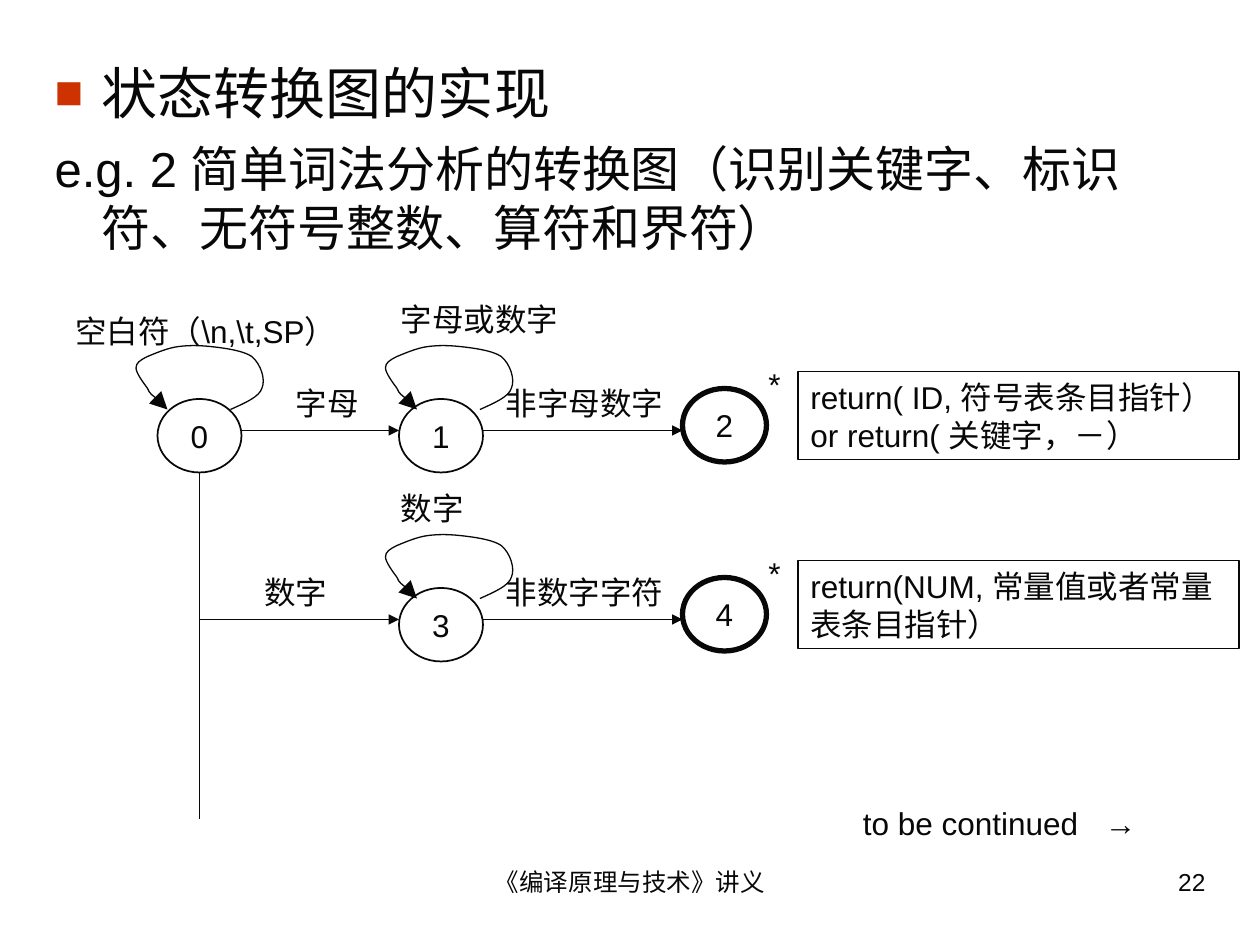
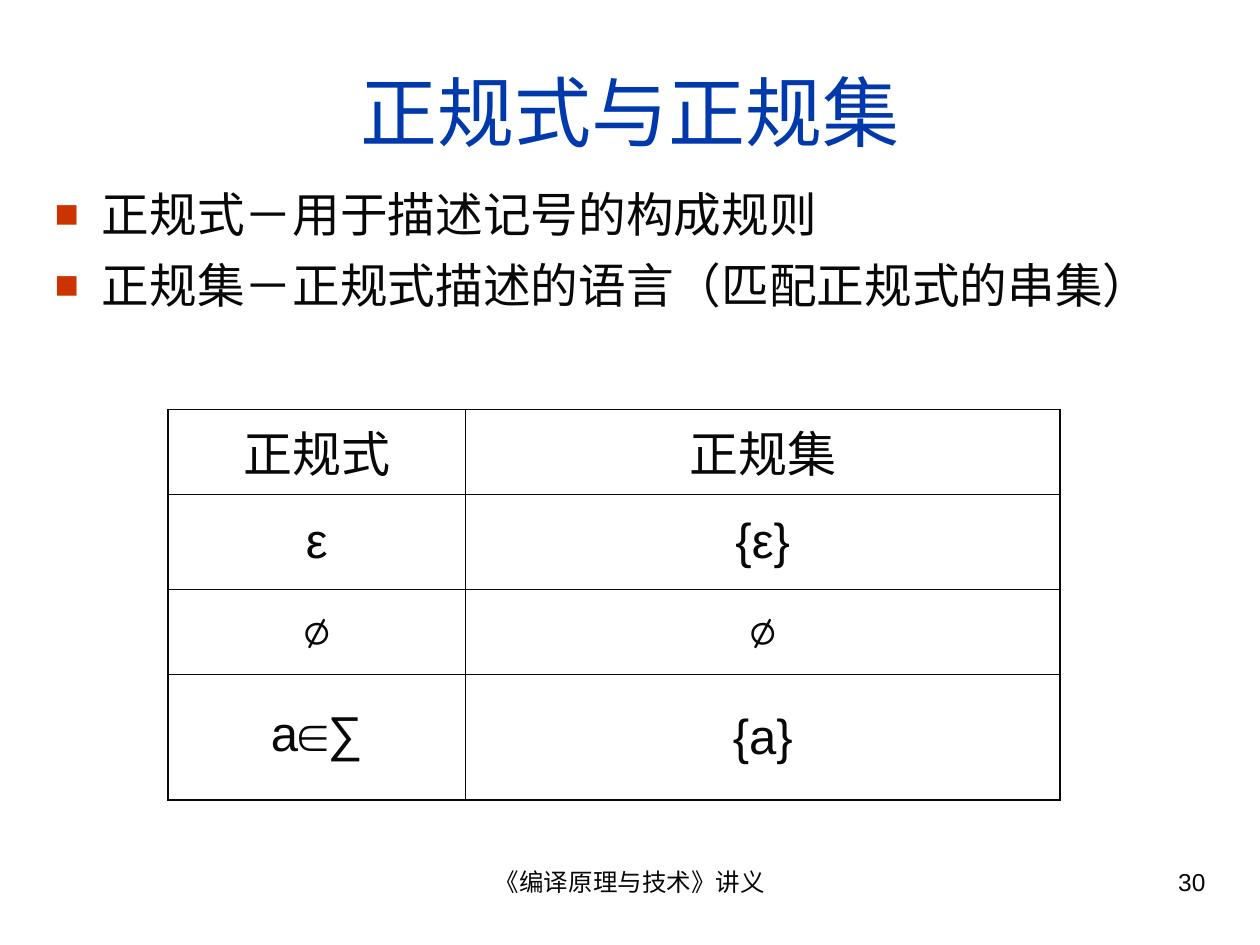
import itertools

import lxml.etree
import pptx
import pptx.dml.color
import pptx.enum.shapes
import pptx.enum.text
import pptx.oxml.ns
import pptx.util

Inches = pptx.util.Inches
Pt = pptx.util.Pt
Align = pptx.enum.text.PP_ALIGN
Anchor = pptx.enum.text.MSO_ANCHOR
AutoSize = pptx.enum.text.MSO_AUTO_SIZE
Shape = pptx.enum.shapes.MSO_SHAPE
qn = pptx.oxml.ns.qn

INK = pptx.dml.color.RGBColor(0x08, 0x08, 0x08)
TITLE_BLUE = pptx.dml.color.RGBColor(0x00, 0x39, 0xAC)
BULLET_RED = pptx.dml.color.RGBColor(0xCC, 0x33, 0x00)
FONT = "Arial"
SYMBOL_FONT = "Courier New"
SYMBOLS = "∅∈"
FOOTER = "《编译原理与技术》讲义"

# A self-loop as Bezier control points, in inches from its top left corner.
LOOP = [
    (0.75, 0.51), (0.86, 0.46), (0.98, 0.41), (1.00, 0.34),
    (1.03, 0.27), (0.99, 0.15), (0.92, 0.09), (0.85, 0.04),
    (0.68, 0.02), (0.59, 0.01), (0.49, 0.00), (0.42, 0.00),
    (0.34, 0.01), (0.25, 0.02), (0.14, 0.07), (0.09, 0.09),
    (0.03, 0.12), (0.00, 0.14), (0.00, 0.18), (0.00, 0.22),
    (0.06, 0.30), (0.09, 0.34), (0.11, 0.39), (0.14, 0.40),
    (0.17, 0.43), (0.20, 0.45), (0.23, 0.48), (0.25, 0.51),
]


def snapped(*lengths):
    """Lengths in inches, moved to the page grid of twelfths of an inch."""
    return [Inches(round(length * 12) / 12) for length in lengths]


def add_xml(parent, tag, **attributes):
    child = lxml.etree.SubElement(parent, qn(tag))
    for name, value in attributes.items():
        child.set(name, str(value))
    return child


def bend(shape):
    """Turn every three line segments of a freeform into one Bezier curve."""
    segments = list(shape._element.iter(qn("a:lnTo")))
    for start in range(0, len(segments), 3):
        curve = add_xml(segments[start].getparent(), "a:cubicBezTo")
        for segment in segments[start:start + 3]:
            curve.append(segment[0])
            segment.getparent().remove(segment)


def write(frame, text, size=18, color=INK, align=Align.LEFT, before=0,
          hanging=False, bullet=False, tab=None):
    """Add a paragraph, using the frame's first one while it is empty."""
    para = frame.paragraphs[0]
    if para.runs:
        para = frame.add_paragraph()
    para.alignment = align
    para.space_before = Pt(before)
    for is_symbol, letters in itertools.groupby(text, lambda letter: letter in SYMBOLS):
        span = para.add_run()
        span.text = "".join(letters)
        span.font.name = SYMBOL_FONT if is_symbol else FONT
        span.font.size = Pt(size)
        span.font.color.rgb = color
    properties = para._p.get_or_add_pPr()
    properties.set("hangingPunct", "0")
    if hanging:
        properties.set("marL", str(Pt(27)))
        properties.set("indent", str(Pt(-27)))
        if bullet:
            add_xml(add_xml(properties, "a:buClr"), "a:srgbClr", val=BULLET_RED)
            add_xml(properties, "a:buSzPct", val=85000)
            add_xml(properties, "a:buFont", typeface=FONT)
            add_xml(properties, "a:buChar", char="■")
        else:
            add_xml(properties, "a:buNone")
    if tab:
        add_xml(add_xml(properties, "a:tabLst"), "a:tab", pos=Inches(tab), algn="l")


class Lecture:
    def __init__(self):
        self.deck = pptx.Presentation()
        self.deck.slide_width = Inches(10)
        self.deck.slide_height = Inches(7.5)
        self.page = None

    def start_page(self, number, title=None):
        self.page = self.deck.slides.add_slide(self.deck.slide_layouts[1])
        heading = self.page.shapes.title
        if title:
            self.place(heading, 0.33, 0.25, 9.34, 1.25)
            heading.text_frame.vertical_anchor = Anchor.MIDDLE
            write(heading.text_frame, title, size=44, color=TITLE_BLUE, align=Align.CENTER)
        else:
            heading.element.getparent().remove(heading.element)
        self.text(FOOTER, 3.42, 6.83, 3.17, 0.52, size=14, align=Align.CENTER)
        self.text(str(number), 7.17, 6.83, 2.5, 0.52, size=14, align=Align.RIGHT)

    def place(self, box, left, top, width, height):
        box.left, box.top, box.width, box.height = snapped(left, top, width, height)
        box.text_frame.auto_size = AutoSize.NONE

    def body(self, left, top, width, height):
        box = self.page.placeholders[1]
        self.place(box, left, top, width, height)
        box.text_frame.vertical_anchor = Anchor.TOP
        return box.text_frame

    def text(self, text, left, top, width, height=0.4, **style):
        left, width = snapped(left, width)
        box = self.page.shapes.add_textbox(left, Inches(top), width, Inches(height))
        box.text_frame.word_wrap = True
        write(box.text_frame, text, **style)

    def label(self, text, left, top, width, height=0.4, **style):
        self.text(text, left, top, width, height, before=11.2, **style)

    def outline(self, kind, left, top, width, height, weight):
        shape = self.page.shapes.add_shape(kind, left, top, width, height)
        shape.shadow.inherit = False
        shape.fill.background()
        shape.line.color.rgb = INK
        shape.line.width = Pt(weight)
        return shape.text_frame

    def state(self, name, left, top, final=False):
        frame = self.outline(Shape.OVAL, *snapped(left, top, 0.67, 0.58), 3 if final else 1)
        frame.word_wrap = False
        frame.vertical_anchor = Anchor.MIDDLE
        write(frame, name, align=Align.CENTER)

    def action(self, text, left, top):
        left, width = snapped(left, 3.5)
        frame = self.outline(Shape.RECTANGLE, left, Inches(top), width, Inches(0.7), 0.75)
        frame.word_wrap = True
        frame.vertical_anchor = Anchor.TOP
        write(frame, text, before=11.2)

    def stroke(self, line, head=None):
        """Give a line its ink, and an arrowhead of size head at its end."""
        line.color.rgb = INK
        line.width = Pt(0.75)
        if head:
            add_xml(line._get_or_add_ln(), "a:tailEnd", type="triangle", w=head, len=head)

    def line(self, x1, y1, x2, y2, head="med"):
        connector = self.page.shapes.add_connector(
            pptx.enum.shapes.MSO_CONNECTOR.STRAIGHT, *snapped(x1, y1, x2, y2))
        self.stroke(connector.line, head)
        add_xml(connector._element.spPr, "a:effectLst")

    def loop(self, left, top):
        points = [(Inches(left + x), Inches(top + y)) for x, y in LOOP]
        builder = self.page.shapes.build_freeform(*points[0])
        builder.add_line_segments(points[1:], close=False)
        shape = builder.convert_to_shape()
        bend(shape)
        shape.shadow.inherit = False
        shape.fill.background()
        self.stroke(shape.line, "lg")

    def table(self, rows, left, top, widths, heights):
        frame = self.page.shapes.add_table(
            len(rows), len(widths), *snapped(left, top),
            Inches(sum(widths)), Inches(sum(heights)))
        grid = frame.table
        grid.first_row = grid.horz_banding = False
        for column, width in zip(grid.columns, widths):
            column.width = Inches(width)
        for row, height in zip(grid.rows, heights):
            row.height = Inches(height)
        last_row, last_column = len(rows) - 1, len(widths) - 1
        for r, row in enumerate(rows):
            for c, text in enumerate(row):
                cell = grid.cell(r, c)
                cell.margin_left = cell.margin_right = Inches(0.1)
                cell.margin_top = cell.margin_bottom = Inches(0.05)
                cell.vertical_anchor = Anchor.MIDDLE
                write(cell.text_frame, text, size=28, align=Align.CENTER, before=7)
                outer = {"L": c == 0, "R": c == last_column,
                         "T": r == 0, "B": r == last_row}
                for side, is_outer in outer.items():
                    edge = add_xml(cell._tc.get_or_add_tcPr(), "a:ln" + side,
                                   w=Pt(1.08 if is_outer else 0.45))
                    add_xml(add_xml(edge, "a:solidFill"), "a:srgbClr", val=INK)
                cell.fill.background()


def draw_branch(lecture, top, names, start, entry, entry_left, repeat, leave, action):
    """Draw one row of the diagram: a looping state, then a final one."""
    middle, final = names
    axis = top + 0.25
    lecture.line(start, axis, 3.17, axis)
    lecture.state(middle, 3.17, top)
    lecture.loop(3.06, top - 0.43)
    lecture.label(repeat, 3.08, top - 0.84, 1.67)
    lecture.label(entry, entry_left, top - 0.17, 0.92)
    lecture.line(3.83, axis, 5.42, axis)
    lecture.label(leave, 3.92, top - 0.17, 1.67)
    lecture.state(final, 5.42, top - 0.09, final=True)
    lecture.label("*", 6, top - 0.32, 0.67)
    lecture.action(action, 6.33, top - 0.22)


def draw_transition_diagram(lecture):
    lecture.start_page(22)
    body = lecture.body(0.33, 0.42, 9.34, 1.83)
    write(body, "状态转换图的实现", size=32, before=8, hanging=True, bullet=True)
    write(body, "e.g. 2 简单词法分析的转换图（识别关键字、标识符、无符号整数、算符和界符）",
          size=28, before=7, hanging=True)
    lecture.state("0", 1.25, 3.17)
    lecture.loop(1.08, 2.74)
    lecture.label(r"空白符（\n,\t,SP）", 0.5, 2.43, 2.33, 0.7)
    lecture.line(1.58, 3.75, 1.58, 6.5, head=None)
    draw_branch(lecture, 3.17, "12", 1.92, "字母", 2.25, "字母或数字", "非字母数字",
                "return( ID, 符号表条目指针） or return( 关键字，－）")
    draw_branch(lecture, 4.67, "34", 1.58, "数字", 2, "数字", "非数字字符",
                "return(NUM, 常量值或者常量表条目指针）")
    lecture.label("to be continued\t→", 6.75, 6.33, 2.92, tab=1.92)


def draw_regular_sets(lecture):
    lecture.start_page(30, "正规式与正规集")
    body = lecture.body(0.33, 1.42, 9.42, 1.5)
    for item in ("正规式－用于描述记号的构成规则",
                 "正规集－正规式描述的语言（匹配正规式的串集）"):
        write(body, item, size=27.2, before=8, hanging=True, bullet=True)
    rows = [("正规式", "正规集"), ("ε", "{ε}"), ("∅", "∅"), ("a∈∑", "{a}")]
    lecture.table(rows, 1.33, 3.25, [2.36, 4.72], [0.67, 0.76, 0.67, 1])


def main():
    lecture = Lecture()
    draw_transition_diagram(lecture)
    draw_regular_sets(lecture)
    lecture.deck.save("out.pptx")


if __name__ == "__main__":
    main()
